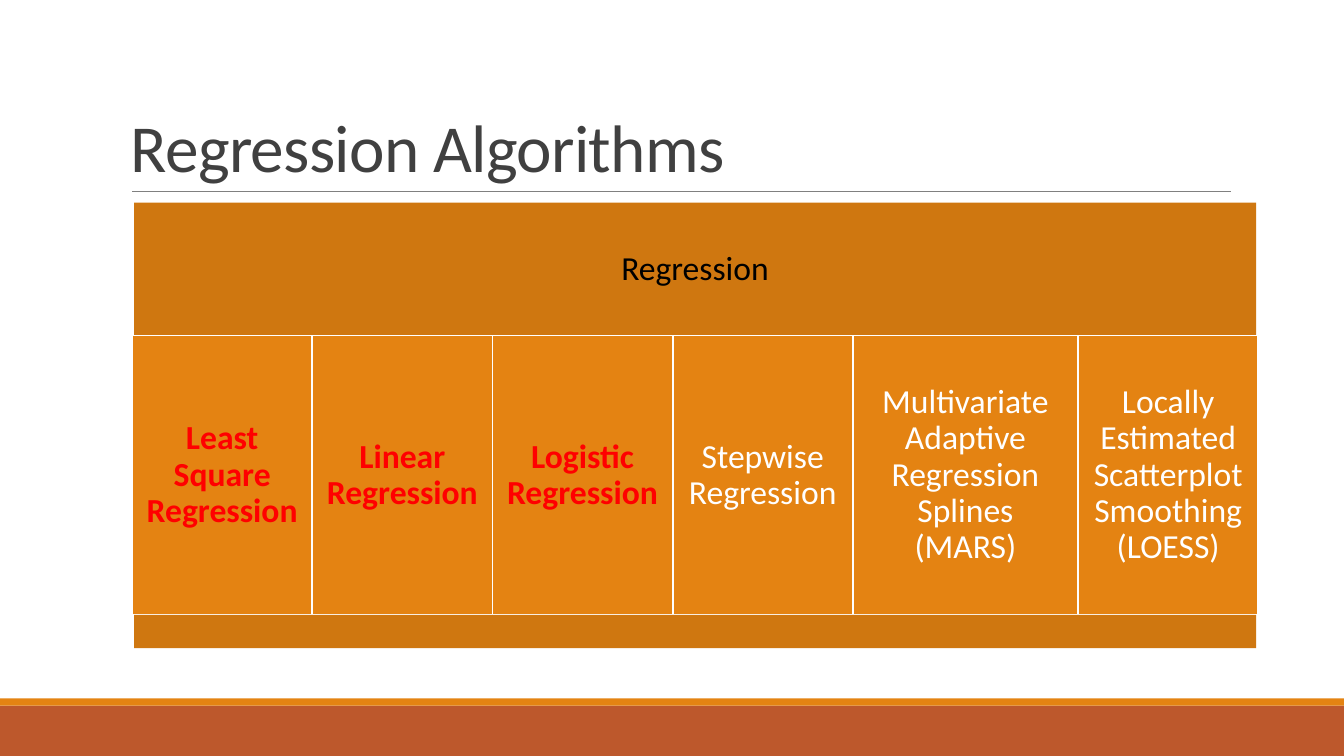
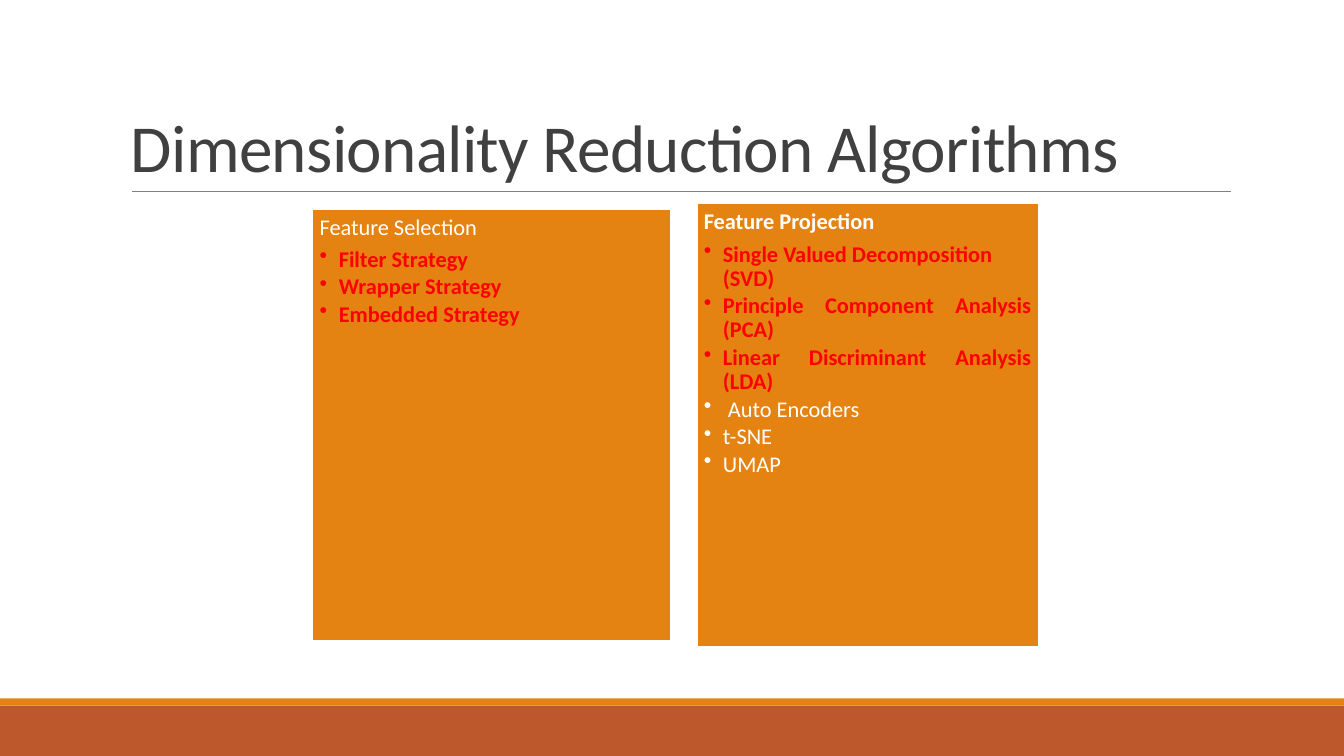
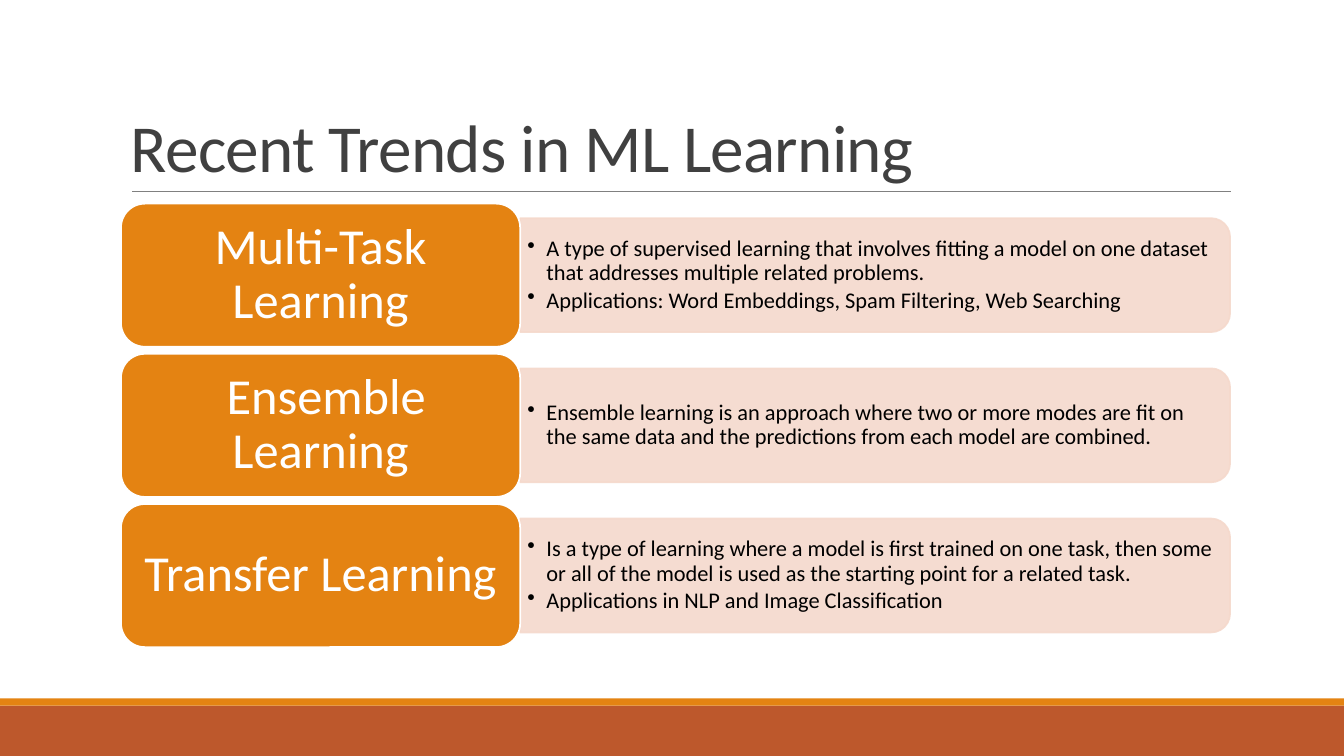
"""Build three machine learning slides: regression, dimensionality reduction and recent trends."""
from lxml import etree
from pptx import Presentation
from pptx import util as u
from pptx.dml.color import RGBColor
from pptx.enum import shapes, text
from pptx.oxml.ns import qn

RUST = RGBColor(0xBD, 0x58, 0x2C)
ORANGE = RGBColor(0xE4, 0x83, 0x12)
DARK_ORANGE = RGBColor(0xCF, 0x77, 0x10)
BLUSH = RGBColor(0xF5, 0xD9, 0xCC)
GREY = RGBColor(0x80, 0x80, 0x80)
CHARCOAL = RGBColor(0x40, 0x40, 0x40)
RED = RGBColor(0xFF, 0, 0)
WHITE = RGBColor(0xFF, 0xFF, 0xFF)
BLACK = RGBColor(0, 0, 0)

FONT = "Calibri"
RECT = shapes.MSO_SHAPE.RECTANGLE
TOP, MIDDLE, BOTTOM = text.MSO_ANCHOR.TOP, text.MSO_ANCHOR.MIDDLE, text.MSO_ANCHOR.BOTTOM
LEFT, CENTER, JUSTIFY = text.PP_ALIGN.LEFT, text.PP_ALIGN.CENTER, text.PP_ALIGN.JUSTIFY
W, H = 13.33, 7.5
MARGIN, BODY_TOP = 1.2, 2.02


def add_box(s, kind, x, y, w, h, fill, line=None):
    sp = s.shapes.add_shape(kind, *map(u.Inches, (x, y, w, h)))
    sp.shadow.inherit = False
    sp.fill.solid()
    sp.fill.fore_color.rgb = fill
    if line is None:
        sp.line.fill.background()
    else:
        sp.line.color.rgb = line
        sp.line.width = u.Pt(1.25)
    return sp


def write(sp, lines, size, inset, anchor, align=LEFT, bullets_from=99, spacing=0.9):
    tf = sp.text_frame
    tf.word_wrap = True
    tf.vertical_anchor = anchor
    tf.margin_left = tf.margin_right = u.Inches(inset[0])
    tf.margin_top = tf.margin_bottom = u.Inches(inset[1])
    for i, (words, color, bold, *own_align) in enumerate(lines):
        p = tf.paragraphs[0] if i == 0 else tf.add_paragraph()
        p.text = words
        p.alignment = own_align[0] if own_align else align
        p.line_spacing = spacing
        p.space_after = u.Pt(size * (0.15 if i >= bullets_from else 0.35))
        p.font.name, p.font.size = FONT, u.Pt(size)
        p.font.bold, p.font.color.rgb = bold, color
        if i >= bullets_from:
            pPr = p._p.get_or_add_pPr()
            pPr.set("marL", str(u.Inches(0.19)))
            pPr.set("indent", str(-u.Inches(0.19)))
            bullet = etree.Element(qn("a:buChar"), char="•")
            pPr.find(qn("a:defRPr")).addprevious(bullet)


prs = Presentation()
prs.slide_width, prs.slide_height = u.Inches(W), u.Inches(H)

titles = ["Regression Algorithms", "Dimensionality Reduction Algorithms", "Recent Trends in ML Learning"]
for title in titles:
    s = prs.slides.add_slide(prs.slide_layouts[6])
    add_box(s, RECT, 0, 7, W, 0.5, RUST)
    add_box(s, RECT, 0, 6.93, W, 0.07, ORANGE)
    rule = s.shapes.add_connector(shapes.MSO_CONNECTOR.STRAIGHT, *map(u.Inches, (1.31, 1.9, 12.21, 1.9)))
    rule.line.color.rgb = GREY
    rule.line.width = u.Pt(0.5)
    etree.SubElement(rule._element.spPr, qn("a:effectLst"))
    heading = s.shapes.add_textbox(*map(u.Inches, (MARGIN, 0.31, 11, 1.59)))
    write(heading, [(title, CHARCOAL, False)], 48, (0.1, 0.05), BOTTOM, spacing=0.85)
    p = heading.text_frame.paragraphs[0]
    p.space_after = u.Pt(0)
    p.runs[0]._r.get_or_add_rPr().set("spc", "-50")
regression, reduction, trends = prs.slides

header = add_box(regression, RECT, 1.33, 2.01, 11.13, 1.32, DARK_ORANGE)
write(header, [("Regression", BLACK, False)], 24, (0.1, 0.1), MIDDLE, CENTER)
algorithms = [
    ("Least Square Regression", 8, RED),
    ("Linear Regression", 8, RED),
    ("Logistic Regression", 8, RED),
    ("Stepwise Regression", 8, WHITE),
    ("Multivariate Adaptive Regression Splines (MARS)", 10, WHITE),
    ("Locally Estimated Scatterplot Smoothing (LOESS)", 8, WHITE),
]
unit = 11.17 / sum(units for _, units, _ in algorithms)
x = 1.31
for name, units, color in algorithms:
    sp = add_box(regression, RECT, x, 3.33, units * unit, 2.77, ORANGE, WHITE)
    write(sp, [(name, color, color == RED)], 24, (0.1, 0.1), MIDDLE, CENTER)
    x += units * unit
add_box(regression, RECT, 1.33, 6.1, 11.13, 0.33, DARK_ORANGE)

families = [
    ((3.1, 2.07, 3.55, 4.29), [
        ("Feature Selection", WHITE, False),
        ("Filter Strategy", RED, True),
        ("Wrapper Strategy", RED, True),
        ("Embedded Strategy", RED, True),
    ]),
    ((6.91, 2.02, 3.39, 4.4), [
        ("Feature Projection", WHITE, True),
        ("Single Valued Decomposition (SVD)", RED, True),
        ("Principle Component Analysis (PCA)", RED, True, JUSTIFY),
        ("Linear Discriminant Analysis (LDA)", RED, True, JUSTIFY),
        (" Auto Encoders", WHITE, False, JUSTIFY),
        ("t-SNE", WHITE, False, JUSTIFY),
        ("UMAP", WHITE, False, JUSTIFY),
    ]),
]
for place, lines in families:
    sp = add_box(reduction, RECT, *place, ORANGE, WHITE)
    write(sp, lines, 16, (0.07, 0.07), TOP, bullets_from=1)

topics = [
    ("Multi-Task Learning", [
        "A type of supervised learning that involves fitting a model on one dataset "
        "that addresses multiple related problems.",
        "Applications: Word Embeddings, Spam Filtering, Web Searching",
    ]),
    (" Ensemble Learning", [
        "Ensemble learning is an approach where two or more modes are fit on the same data "
        "and the predictions from each model are combined.",
    ]),
    ("Transfer Learning", [
        "Is a type of learning where a model is first trained on one task, then some or all "
        "of the model is used as the starting point for a related task.",
        "Applications in NLP and Image Classification",
    ]),
]
label_w, label_h, row_step = 3.96, 1.42, 1.49
panel_w, panel_h = 7.04, 1.13
panel_x = MARGIN + label_w
for row, (topic, notes) in enumerate(topics):
    y = BODY_TOP + row * row_step
    middle = y + label_h / 2
    panel = add_box(trends, shapes.MSO_SHAPE.ROUND_2_SAME_RECTANGLE, panel_x + (panel_w - panel_h) / 2,
                    middle - panel_w / 2, panel_h, panel_w, BLUSH, BLUSH)
    panel.rotation = 90
    for clr in panel._element.spPr.findall(".//" + qn("a:srgbClr")):
        etree.SubElement(clr, qn("a:alpha"), val="90000")
    body = trends.shapes.add_textbox(*map(u.Inches, (panel_x, middle - 0.51, 6.98, 1.02)))
    write(body, [(note, BLACK, False) for note in notes], 16, (0.07, 0.03), MIDDLE, bullets_from=0)
    label = add_box(trends, shapes.MSO_SHAPE.ROUNDED_RECTANGLE, MARGIN, y, label_w, label_h, ORANGE, WHITE)
    write(label, [(topic, WHITE, False)], 36, (0.15, 0.07), MIDDLE, CENTER)

prs.save("out.pptx")
